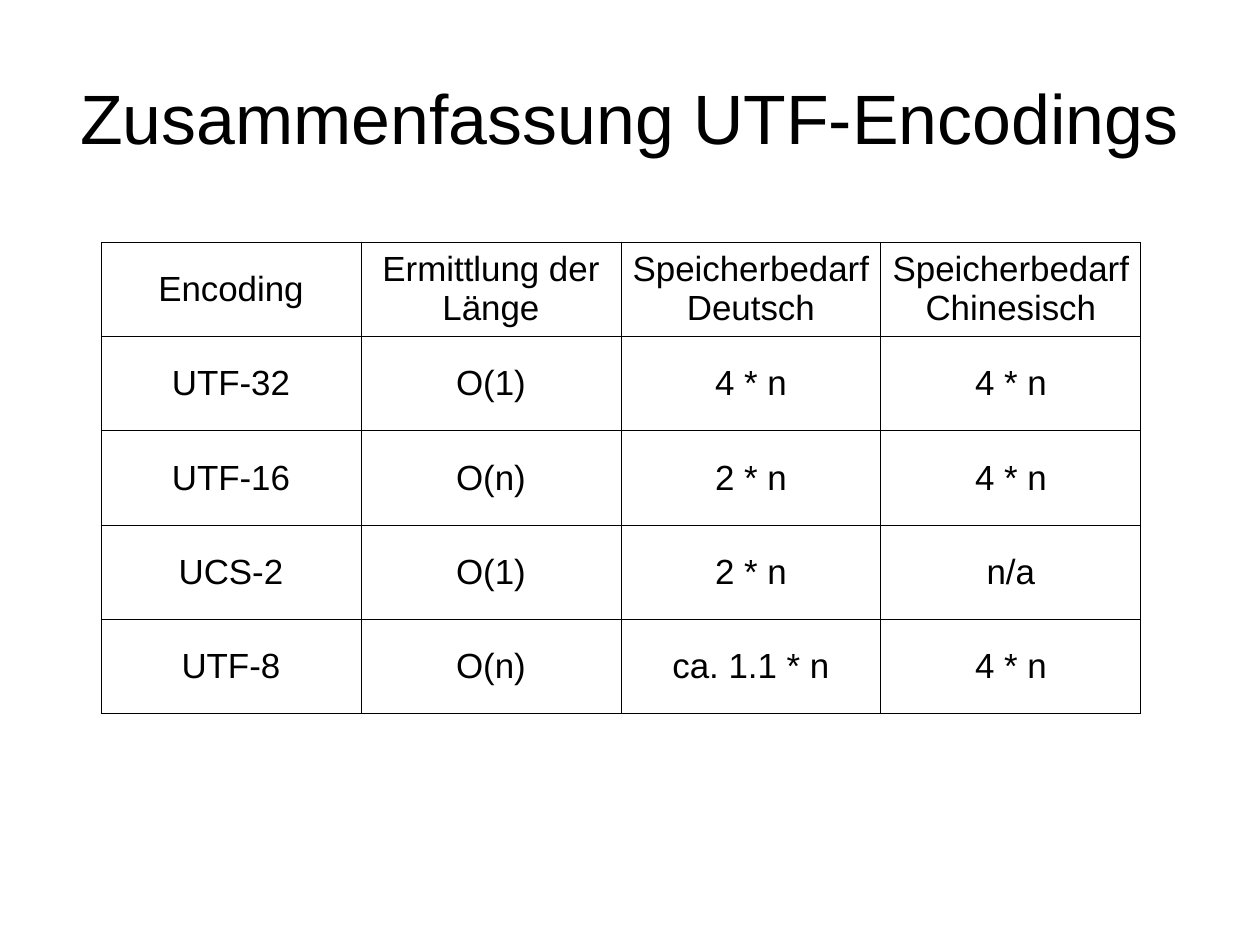
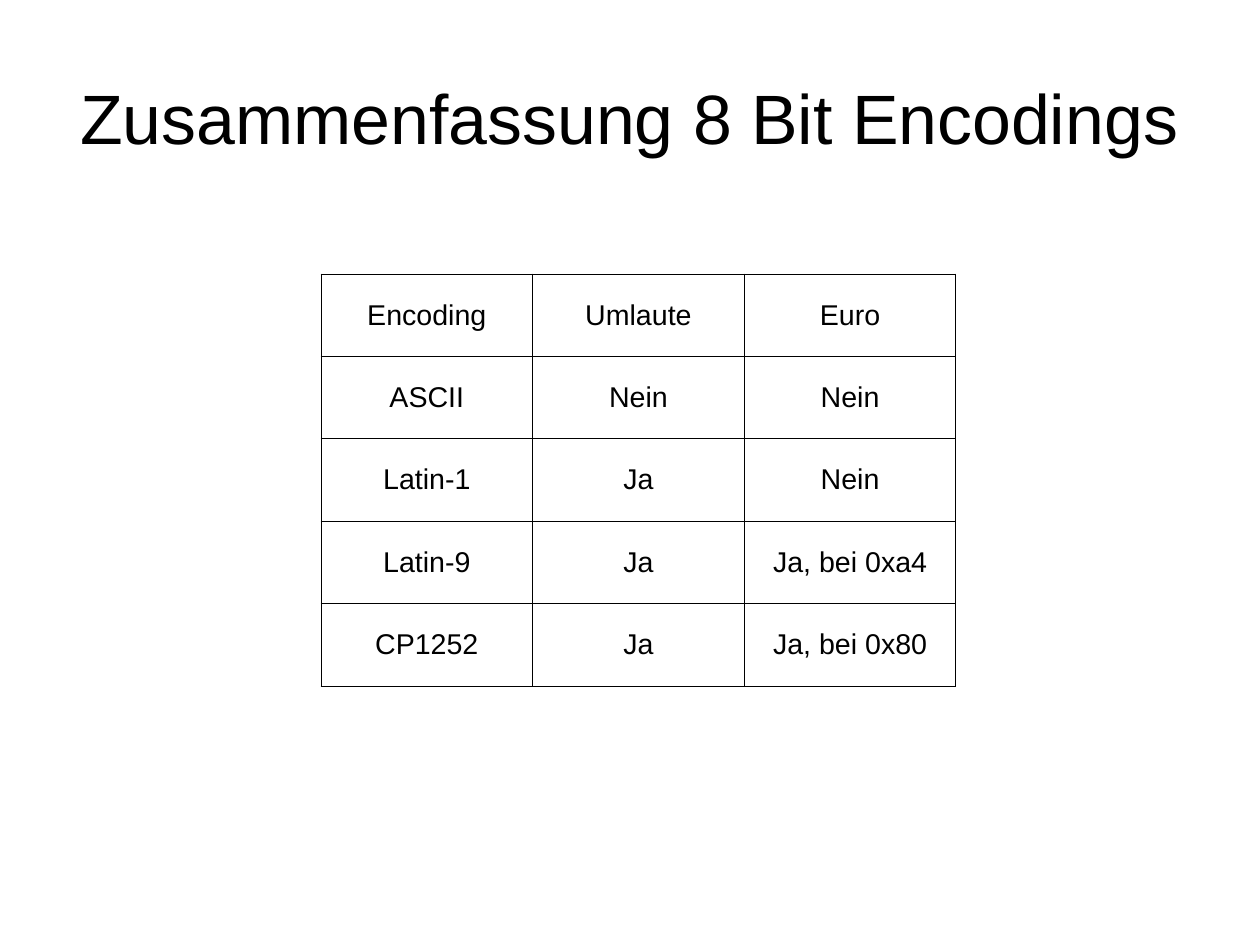
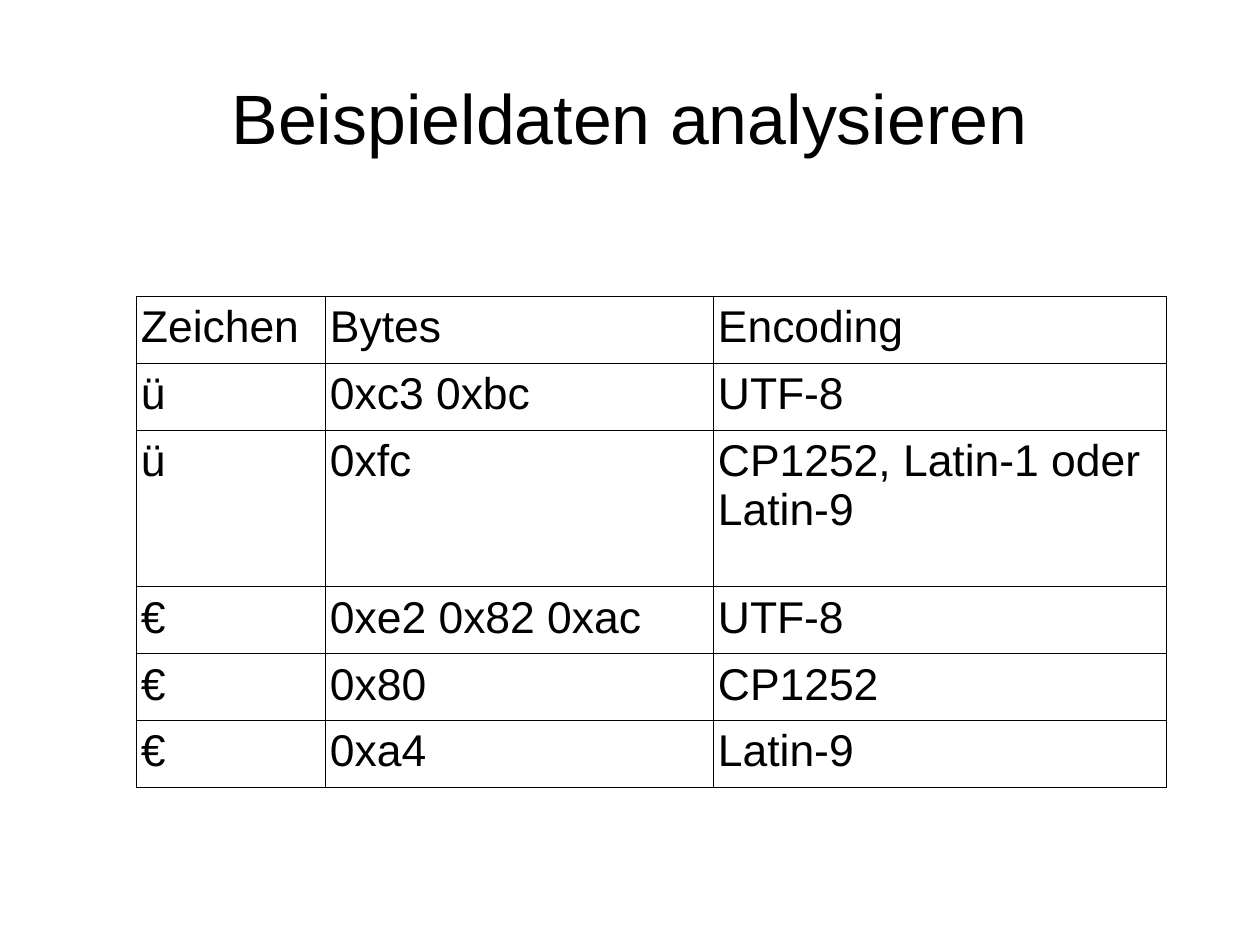
"""Build three slides that summarise text encodings in tables."""
from lxml import etree
from pptx import Presentation
from pptx.dml.color import RGBColor
from pptx.enum.text import MSO_ANCHOR as Anchor, MSO_AUTO_SIZE as AutoSize, PP_ALIGN as Align
from pptx.oxml.ns import qn
from pptx.util import Pt

PX = 8000
SLIDE_SIZE = (1260, 945)
TITLE_BOX = (63, 38, 1134, 158)
FONT = "Arial"
INK = "000000"
PAPER = "FFFFFF"
TITLE_SIZE = 44
BORDER_WIDTH = Pt(0.57)
CELL_INSETS = (5, 6, 5, 6)
TITLE_ONLY = 5

CENTRED = dict(align=Align.CENTER, anchor=Anchor.MIDDLE)
TOP_LEFT = dict(align=Align.LEFT, anchor=Anchor.TOP)

SLIDES = [
    dict(
        title="Zusammenfassung UTF-Encodings",
        box=(101, 242, 1040, 472),
        column_shares=(1, 1, 1, 1),
        row_shares=(1, 1, 1, 1, 1),
        text_format=dict(size=22, **CENTRED),
        rows=[
            ("Encoding", "Ermittlung der Länge", "Speicherbedarf Deutsch", "Speicherbedarf Chinesisch"),
            ("UTF-32", "O(1)", "4 * n", "4 * n"),
            ("UTF-16", "O(n)", "2 * n", "4 * n"),
            ("UCS-2", "O(1)", "2 * n", "n/a"),
            ("UTF-8", "O(n)", "ca. 1.1 * n", "4 * n"),
        ],
    ),
    dict(
        title="Zusammenfassung 8 Bit Encodings",
        box=(321, 274, 635, 412),
        column_shares=(1, 1, 1),
        row_shares=(1, 1, 1, 1, 1),
        text_format=dict(size=18, **CENTRED),
        rows=[
            ("Encoding", "Umlaute", "Euro"),
            ("ASCII", "Nein", "Nein"),
            ("Latin-1", "Ja", "Nein"),
            ("Latin-9", "Ja", "Ja, bei 0xa4"),
            ("CP1252", "Ja", "Ja, bei 0x80"),
        ],
    ),
    dict(
        title="Beispieldaten analysieren",
        box=(136, 296, 1030, 492),
        column_shares=(189, 388, 453),
        row_shares=(67, 67, 157, 67, 67, 67),
        text_format=dict(size=28, **TOP_LEFT),
        rows=[
            ("Zeichen", "Bytes", "Encoding"),
            ("ü", "0xc3 0xbc", "UTF-8"),
            ("ü", "0xfc", "CP1252, Latin-1 oder Latin-9"),
            ("€", "0xe2 0x82 0xac", "UTF-8"),
            ("€", "0x80", "CP1252"),
            ("€", "0xa4", "Latin-9"),
        ],
    ),
]


def px(length):
    return round(length * PX)


def color(hex_code):
    return RGBColor.from_string(hex_code)


def split(total, shares):
    return [px(total * share / sum(shares)) for share in shares]


def write(frame, text, *, size, align):
    paragraph = frame.paragraphs[0]
    paragraph.alignment = align
    run = paragraph.add_run()
    run.text = text
    run.font.name = FONT
    run.font.size = Pt(size)
    run.font.color.rgb = color(INK)


def add_title(slide, text):
    title = slide.shapes.title
    title.left, title.top, title.width, title.height = map(px, TITLE_BOX)
    frame = title.text_frame
    frame.margin_left = frame.margin_top = frame.margin_right = frame.margin_bottom = 0
    frame.word_wrap = True
    frame.auto_size = AutoSize.NONE
    frame.vertical_anchor = Anchor.MIDDLE
    write(frame, text, size=TITLE_SIZE, align=Align.CENTER)


def add_borders(cell):
    properties = cell._tc.get_or_add_tcPr()
    for side in ("lnL", "lnR", "lnT", "lnB"):
        border = etree.SubElement(properties, qn(f"a:{side}"), w=str(int(BORDER_WIDTH)))
        fill = etree.SubElement(border, qn("a:solidFill"))
        etree.SubElement(fill, qn("a:srgbClr"), val=INK)


def fill_cell(cell, text, *, size, align, anchor):
    cell.margin_left, cell.margin_top, cell.margin_right, cell.margin_bottom = map(px, CELL_INSETS)
    cell.vertical_anchor = anchor
    add_borders(cell)
    cell.fill.background()
    write(cell.text_frame, text, size=size, align=align)


def add_encoding_table(slide, *, box, column_shares, row_shares, text_format, rows):
    table = slide.shapes.add_table(len(rows), len(rows[0]), *map(px, box)).table
    table.first_row = table.horz_banding = False
    for column, width in zip(table.columns, split(box[2], column_shares)):
        column.width = width
    for row, height in zip(table.rows, split(box[3], row_shares)):
        row.height = height
    for row, texts in zip(table.rows, rows):
        for cell, text in zip(row.cells, texts):
            fill_cell(cell, text, **text_format)


def main():
    deck = Presentation()
    deck.slide_width, deck.slide_height = map(px, SLIDE_SIZE)
    background = deck.slide_master.background.fill
    background.solid()
    background.fore_color.rgb = color(PAPER)
    for content in SLIDES:
        slide = deck.slides.add_slide(deck.slide_layouts[TITLE_ONLY])
        add_title(slide, content["title"])
        add_encoding_table(slide, **{key: part for key, part in content.items() if key != "title"})
    deck.save("out.pptx")


if __name__ == "__main__":
    main()
